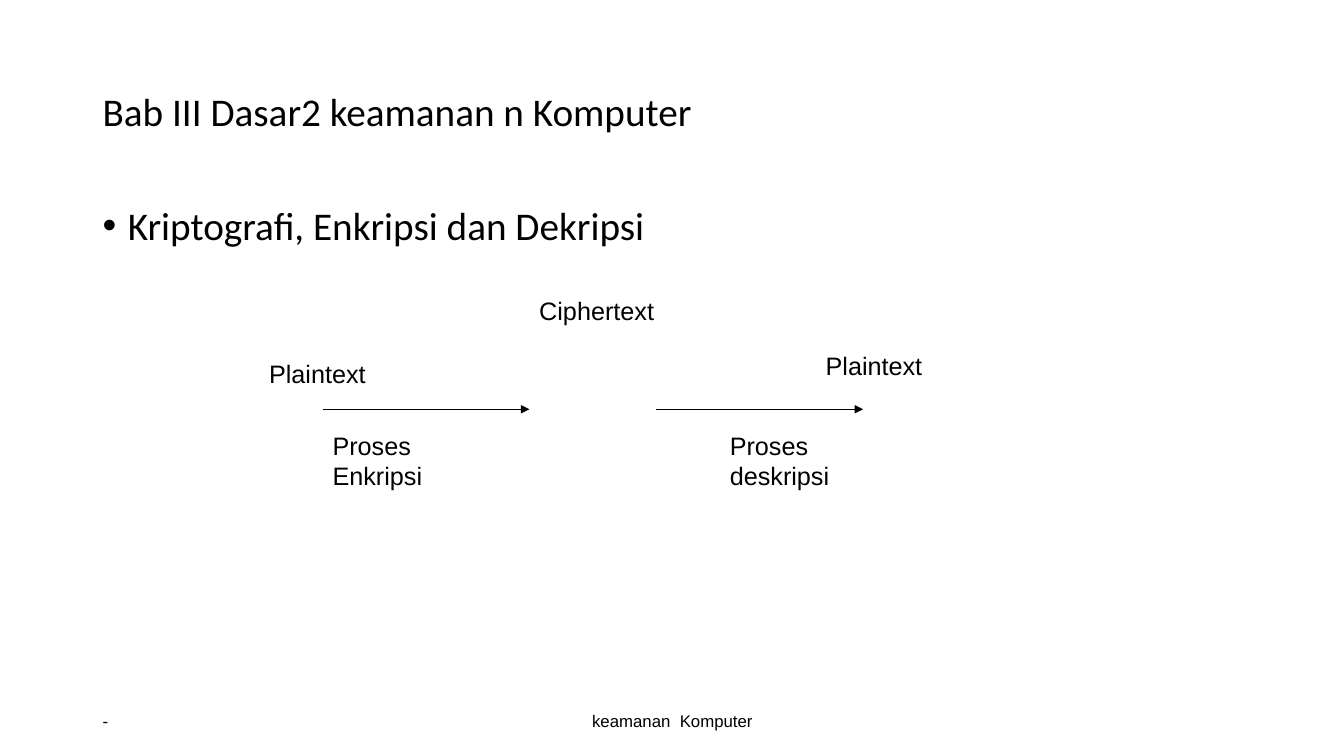
from dataclasses import dataclass

from lxml.etree import SubElement
from pptx import Presentation
from pptx.dml.color import RGBColor
from pptx.enum.shapes import MSO_CONNECTOR
from pptx.enum.text import MSO_ANCHOR, MSO_AUTO_SIZE, PP_ALIGN
from pptx.oxml.ns import qn
from pptx.util import Pt

# Lengths are px, 100 to the inch.
PX = 9144
PAGE_SIZE = (1333, 750)


@dataclass(frozen=True)
class Theme:
    ink: RGBColor = RGBColor(0, 0, 0)
    heading_font: str = "Calibri"
    label_font: str = "Arial"
    heading_size: int = 28
    label_size: int = 18
    footer_size: int = 12
    line_width: float = 0.75


THEME = Theme()
MARGIN, CONTENT_WIDTH = 92, 1150
FOOTER_TOP, FOOTER_HEIGHT = 695, 40
BULLET_INDENT = 25
ARROW_TOP, ARROW_LENGTH = 406, 205

STYLES = {
    "title": dict(font=THEME.heading_font, size=THEME.heading_size,
                  frame={"vertical_anchor": MSO_ANCHOR.MIDDLE},
                  para={"line_spacing": 0.9}),
    "bullet": dict(font=THEME.heading_font, size=THEME.heading_size, frame={},
                   para={"line_spacing": 0.9, "space_before": Pt(10)}),
    "label": dict(font=THEME.label_font, size=THEME.label_size,
                  frame={"auto_size": MSO_AUTO_SIZE.SHAPE_TO_FIT_TEXT}, para={}),
    "footer": dict(font=THEME.label_font, size=THEME.footer_size,
                   frame={"vertical_anchor": MSO_ANCHOR.MIDDLE}, para={}),
    "footer centre": dict(font=THEME.label_font, size=THEME.footer_size,
                          frame={"vertical_anchor": MSO_ANCHOR.MIDDLE},
                          para={"alignment": PP_ALIGN.CENTER}),
}

# Text, style, (left, top, width, height)
TEXTS = [
    ("-", "footer", (MARGIN, FOOTER_TOP, 300, FOOTER_HEIGHT)),
    ("keamanan  Komputer", "footer centre", (442, FOOTER_TOP, 450, FOOTER_HEIGHT)),
    ("Bab III Dasar2 keamanan n Komputer", "title", (MARGIN, 40, CONTENT_WIDTH, 145)),
    ("Kriptografi, Enkripsi dan Dekripsi", "bullet", (MARGIN, 200, CONTENT_WIDTH, 476)),
    ("Plaintext", "label", (257, 351, 118, 40)),
    ("Plaintext", "label", (809, 343, 118, 40)),
    ("Ciphertext", "label", (525, 288, 150, 40)),
    ("Proses Enkripsi", "label", (320, 422, 134, 70)),
    ("Proses deskripsi", "label", (714, 422, 134, 70)),
]
ARROW_LEFTS = [320, 651]


def emu(*lengths):
    return [length * PX for length in lengths]


def apply(target, values):
    for name, value in values.items():
        setattr(target, name, value)


def add_bullet(para):
    props = para._p.get_or_add_pPr()
    indent = BULLET_INDENT * PX
    props.set("marL", str(indent))
    props.set("indent", str(-indent))
    SubElement(props, qn("a:buFont")).set("typeface", THEME.label_font)
    SubElement(props, qn("a:buChar")).set("char", "•")


def add_text(page, text, style_name, place):
    style = STYLES[style_name]
    frame = page.shapes.add_textbox(*emu(*place)).text_frame
    apply(frame, {"word_wrap": True, **style["frame"]})
    para = frame.paragraphs[0]
    apply(para, style["para"])
    if style_name == "bullet":
        add_bullet(para)
    span = para.add_run()
    span.text = text
    apply(span.font, {"name": style["font"], "size": Pt(style["size"])})
    span.font.color.rgb = THEME.ink


def add_arrow(page, left):
    ends = emu(left, ARROW_TOP, left + ARROW_LENGTH, ARROW_TOP)
    arrow = page.shapes.add_connector(MSO_CONNECTOR.STRAIGHT, *ends)
    arrow.line.color.rgb = THEME.ink
    arrow.line.width = Pt(THEME.line_width)
    SubElement(arrow.line._get_or_add_ln(), qn("a:tailEnd")).set("type", "triangle")
    SubElement(arrow._element.spPr, qn("a:effectLst"))


def main():
    deck = Presentation()
    deck.slide_width, deck.slide_height = emu(*PAGE_SIZE)
    page = deck.slides.add_slide(deck.slide_layouts[6])
    for text, style_name, place in TEXTS:
        add_text(page, text, style_name, place)
    for left in ARROW_LEFTS:
        add_arrow(page, left)
    deck.save("out.pptx")


if __name__ == "__main__":
    main()
